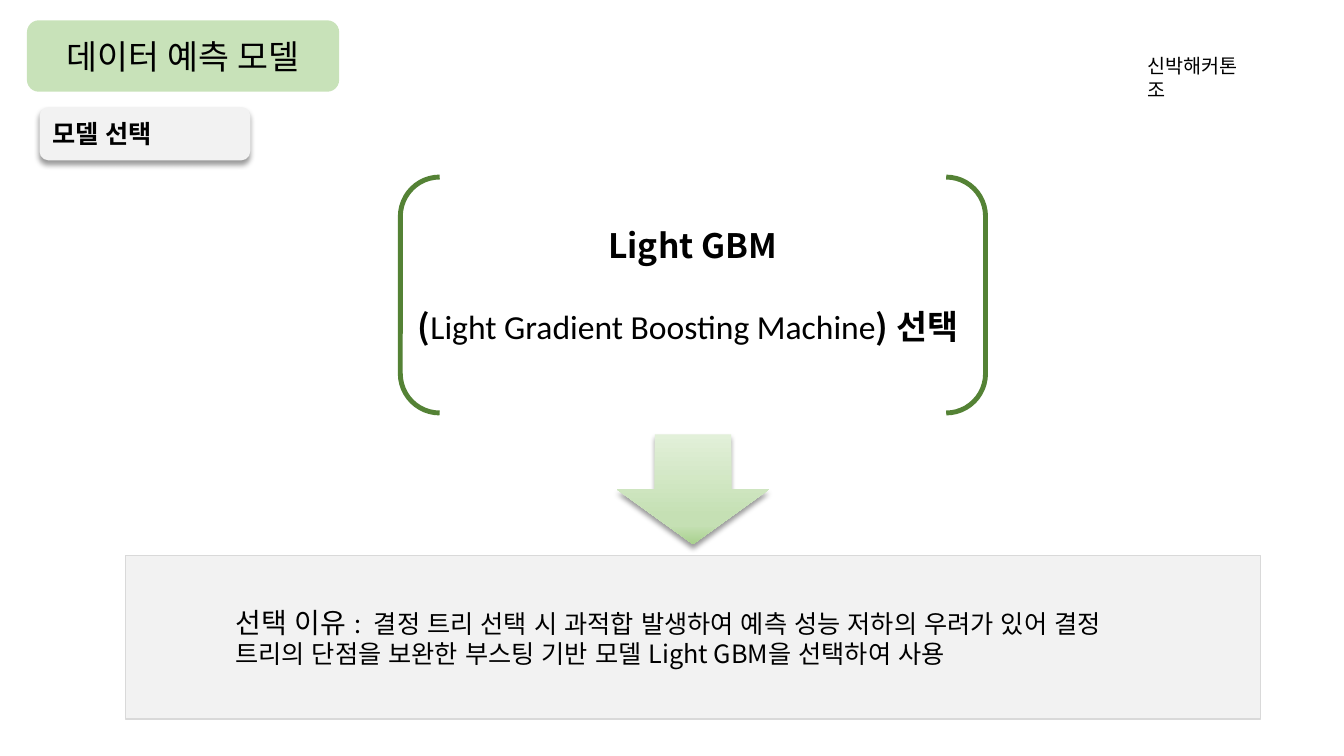
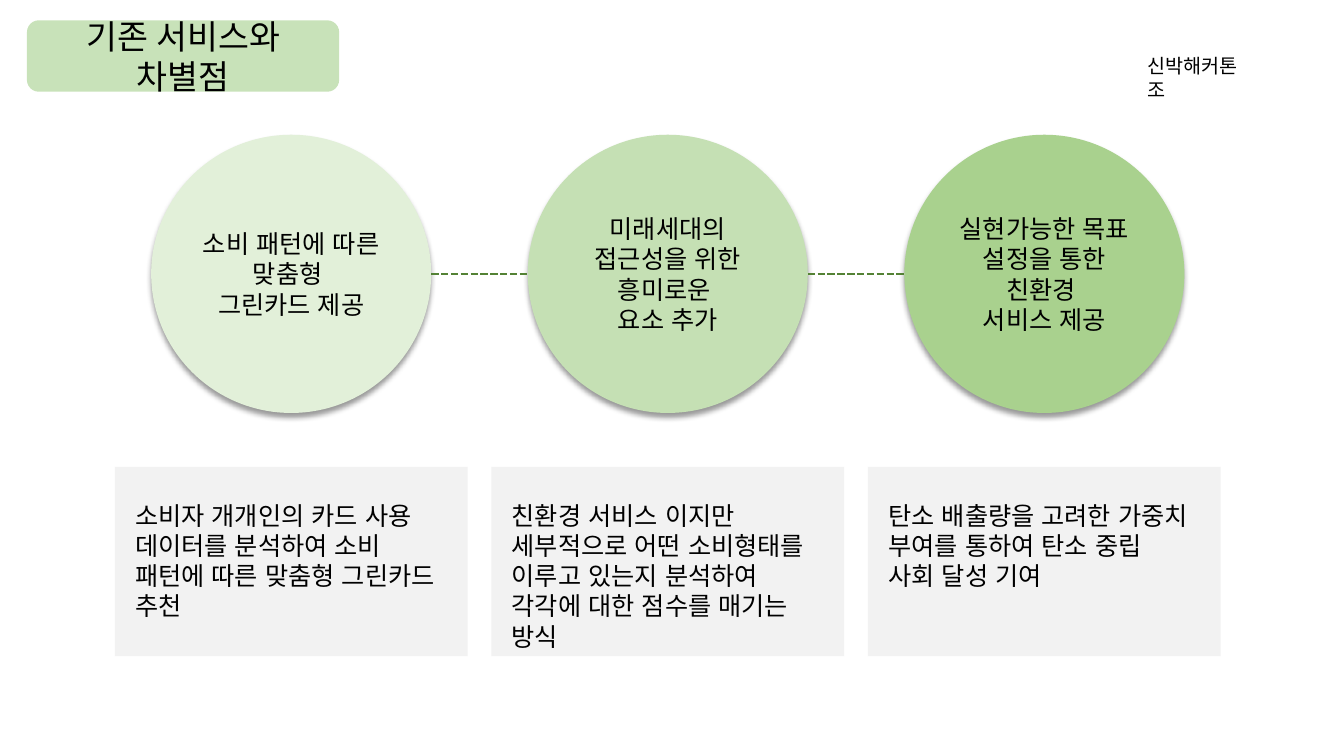
"""Build two slides on the prediction model and the service's differentiators."""
import pptx
import pptx.dml.color
import pptx.enum.dml
import pptx.enum.lang
import pptx.enum.shapes
import pptx.enum.text
import pptx.oxml
import pptx.oxml.ns
import pptx.util
from lxml import etree

Pt = pptx.util.Pt
RGB = pptx.dml.color.RGBColor
SHAPE = pptx.enum.shapes.MSO_SHAPE
ALIGN = pptx.enum.text.PP_ALIGN
ANCHOR = pptx.enum.text.MSO_ANCHOR
qn = pptx.oxml.ns.qn

BLACK = RGB(0x00, 0x00, 0x00)
TITLE_GREEN = RGB(0xC8, 0xE2, 0xB9)
PALE_GREEN = RGB(0xE2, 0xF0, 0xD9)
LIGHT_GREEN = RGB(0xC5, 0xE0, 0xB4)
MID_GREEN = RGB(0xA9, 0xD1, 0x8E)
DARK_GREEN = RGB(0x54, 0x82, 0x35)
PANEL_GRAY = RGB(0xF2, 0xF2, 0xF2)
BORDER_GRAY = RGB(0xD9, 0xD9, 0xD9)
BODY_FONT = "Noto Sans CJK KR"
TITLE_FONT = "Roboto"
SHADOW = (
    f'<a:outerShdw {pptx.oxml.ns.nsdecls("a")} blurRad="{Pt(4)}" dist="{Pt(3)}" dir="5400000" '
    'algn="t" rotWithShape="0"><a:srgbClr val="000000"><a:alpha val="40000"/></a:srgbClr></a:outerShdw>'
)


def add_box(shapes, kind, box, fill=None, shadow=False):
    """Add a borderless shape, or a text box when kind is None."""
    box = [Pt(v) for v in box]
    if kind is None:
        return shapes.add_textbox(*box)
    sp = shapes.add_shape(kind, *box)
    sp.line.fill.background()
    sp.shadow.inherit = False
    if fill is None:
        sp.fill.background()
    else:
        sp.fill.solid()
        sp.fill.fore_color.rgb = fill
    if shadow:
        effects = sp._element.spPr.find(qn("a:effectLst"))
        effects.append(pptx.oxml.parse_xml(SHADOW))
    return sp


def write(sp, paragraphs, size=18, font=BODY_FONT, align=ALIGN.LEFT, bold=False, anchor=ANCHOR.TOP):
    """Fill a shape with paragraphs, each a list of runs."""
    tf = sp.text_frame
    tf.word_wrap = True
    tf.vertical_anchor = anchor
    for i, texts in enumerate(paragraphs):
        p = tf.add_paragraph() if i else tf.paragraphs[0]
        p.alignment = align
        p.font.size = Pt(size)
        p.font.bold = bold
        p.font.name = font
        p.font.color.rgb = BLACK
        p.font.language_id = pptx.enum.lang.MSO_LANGUAGE_ID.KOREAN
        p.font._element.set("kern", "0")
        etree.SubElement(p.font._element, qn("a:ea")).set("typeface", font)
        for text in texts:
            p.add_run().text = text
    return tf


prs = pptx.Presentation()
prs.slide_width, prs.slide_height = Pt(960), Pt(540)

slides = []
for title in ("데이터 예측 모델", "기존 서비스와 차별점"):
    s = prs.slides.add_slide(prs.slide_layouts[6])
    write(add_box(s.shapes, None, (812.25, 35.25, 83, 24.5)), [["신박해커톤조"]], 14, TITLE_FONT)
    sp = add_box(s.shapes, SHAPE.ROUNDED_RECTANGLE, (19.25, 14.5, 223, 51), TITLE_GREEN)
    write(sp, [[title]], 24, TITLE_FONT, ALIGN.CENTER, anchor=ANCHOR.MIDDLE)
    slides.append(s)
model, services = slides

sp = add_box(model.shapes, SHAPE.ROUNDED_RECTANGLE, (28.25, 76.5, 150.5, 38), PANEL_GRAY, True)
write(sp, [["모델 선택"]], bold=True, anchor=ANCHOR.MIDDLE)

sp = add_box(model.shapes, SHAPE.DOUBLE_BRACKET, (286, 126.5, 418, 168.5))
sp.line.color.rgb = DARK_GREEN
sp.line.width = Pt(3.5)
sp = add_box(model.shapes, None, (271.5, 157, 446.5, 94.5))
tf = write(sp, [["Light GBM"], ["(", "Light Gradient Boosting Machine", ") 선택 "]],
           24, align=ALIGN.CENTER, bold=True)
p = tf.paragraphs[1]
p.space_before = Pt(29)
p.runs[1].font.name = "Calibri"
p.runs[1].font.bold = False

sp = add_box(model.shapes, SHAPE.DOWN_ARROW, (440.5, 310.25, 109, 78.5), PALE_GREEN, True)
sp.fill.gradient()
sp.fill.gradient_angle = 270
stops = sp._element.spPr.find(qn("a:gradFill")).find(qn("a:gsLst"))
for stop in list(stops):
    stops.remove(stop)
for percent, color in ((0, PALE_GREEN), (74, LIGHT_GREEN), (83, LIGHT_GREEN), (100, MID_GREEN)):
    stop = etree.SubElement(stops, qn("a:gs"), pos=str(percent * 1000))
    etree.SubElement(stop, qn("a:srgbClr"), val=str(color))

sp = add_box(model.shapes, SHAPE.RECTANGLE, (89.75, 396.75, 810.75, 116.75), PANEL_GRAY)
sp.line.color.rgb = BORDER_GRAY
sp.line.width = Pt(1)
reason = "결정 트리 선택 시 과적합 발생하여 예측 성능 저하의 우려가 있어 결정 트리의 단점을 보완한 부스팅 기반 모델 Light GBM을 선택하여 사용"
tf = write(add_box(model.shapes, None, (161, 428.75, 670, 53)), [["선택 이유 ", ": ", reason]])
label, colon, _ = tf.paragraphs[0].runs
label.font.size = Pt(20)
colon.font._element.set("spc", "250")

PITCH, CIRCLE_LEFT, CIRCLE_WIDTH = 269, 108, 200
points = (
    (PALE_GREEN, ("소비 패턴에 따른 맞춤형 ", "그린카드 제공"),
     ("소비자 개개인의 카드 사용 데이터를 분석하여 소비 패턴에 따른 맞춤형 그린카드 추천",)),
    (LIGHT_GREEN, ("미래세대의 접근성을 위한 흥미로운 ", "요소 추가"),
     ("친환경 서비스 이지만 세부적으로 어떤 소비형태를 이루고 있는지 분석하여 각각에 대한 점수를 매기는 방식",)),
    (MID_GREEN, ("실현가능한 목표 설정을 통한 친환경 ", "서비스 제공"),
     ("탄소 배출량을 고려한 가중치 부여를 통하여 탄소 중립", "사회 달성 기여")),
)
for i, (color, heading, detail) in enumerate(points):
    left = CIRCLE_LEFT + i * PITCH
    sp = add_box(services.shapes, SHAPE.OVAL, (left, 96.25, CIRCLE_WIDTH, 198.75), color, True)
    write(sp, [[line] for line in heading], align=ALIGN.CENTER, anchor=ANCHOR.MIDDLE)
    card = services.shapes.add_group_shape()
    add_box(card.shapes, SHAPE.RECTANGLE, (left - 26, 333.5, 252, 135.25), PANEL_GRAY)
    sp = add_box(card.shapes, None, (left - 18.5, 353.5, 237, 73))
    write(sp, [[line] for line in detail])

for i in range(len(points) - 1):
    left = CIRCLE_LEFT + CIRCLE_WIDTH + i * PITCH
    link = services.shapes.add_connector(
        pptx.enum.shapes.MSO_CONNECTOR.STRAIGHT, Pt(left), Pt(195.75), Pt(left + PITCH - CIRCLE_WIDTH), Pt(195.75))
    link.line.color.rgb = DARK_GREEN
    link.line.width = Pt(1.75)
    link.line.dash_style = pptx.enum.dml.MSO_LINE.SQUARE_DOT
    etree.SubElement(link._element.spPr, qn("a:effectLst"))

prs.save("out.pptx")
